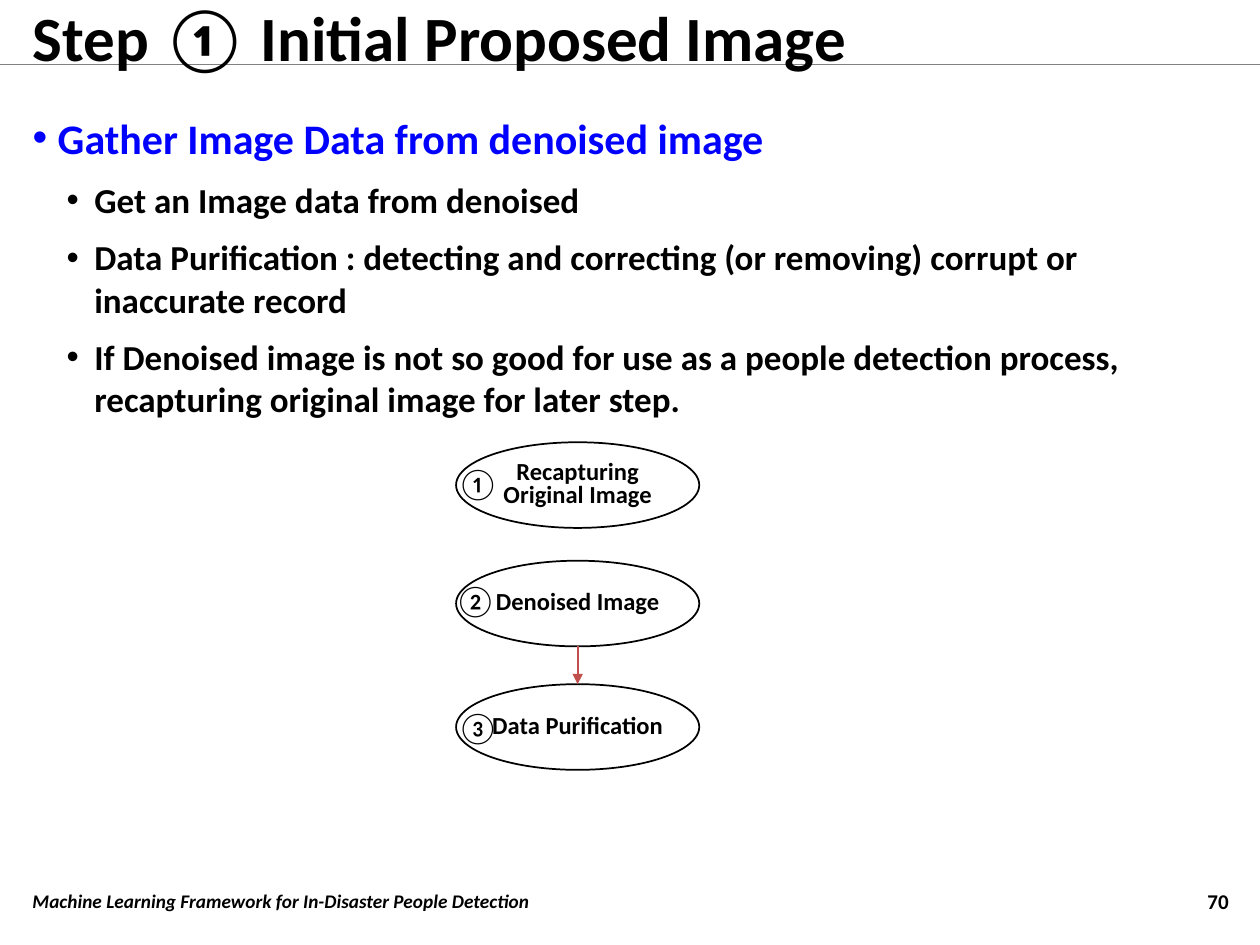
from lxml.etree import SubElement
from pptx import Presentation
from pptx.dml.color import RGBColor
from pptx.enum.shapes import MSO_CONNECTOR, MSO_SHAPE
from pptx.enum.text import MSO_ANCHOR, PP_ALIGN
from pptx.oxml.ns import qn
from pptx.util import Inches, Pt

BLACK = RGBColor(0x00, 0x00, 0x00)
WHITE = RGBColor(0xFF, 0xFF, 0xFF)
BLUE = RGBColor(0x00, 0x00, 0xFF)
GREY = RGBColor(0x80, 0x80, 0x80)
RED = RGBColor(0xC0, 0x50, 0x4D)

# Content
TITLE = "Step ① Initial Proposed Image"
FOOTER = "Machine Learning Framework for In-Disaster People Detection"
PAGE_NUMBER = "70"
HEADING = "Gather Image Data from denoised image"
POINTS = [
    "Get an Image data from denoised",
    "Data Purification : detecting and correcting (or removing) corrupt or inaccurate record",
    "If Denoised image is not so good for use as a people detection process, \v"
    "recapturing original image for later step.",
]
# Label, ellipse top, number, number left and top
STEPS = [
    ("Recapturing Original Image", 3.51, "①", 3.53, 3.63),
    ("Denoised Image", 4.45, "②", 3.51, 4.56),
    ("Data Purification", 5.43, "③", 3.53, 5.57),
]

# Layout and formats
MARGIN, TEXT_WIDTH = 0.16, 9.69
STEP_LEFT, STEP_WIDTH, STEP_HEIGHT = 3.62, 1.93, 0.68
HEADING_FORMAT = {"size": Pt(24), "bold": True, "color": BLUE}
POINT_FORMAT = {"size": Pt(20), "bold": True}
TITLE_FORMAT = {"size": Pt(36), "bold": True}
NUMBER_FORMAT = {"size": Pt(12), "bold": True}
FOOTER_FORMAT = {"size": Pt(11), "bold": True, "italic": True}
STEP_FORMAT = {"size": Pt(14), "bold": True}
BADGE_FORMAT = {"size": Pt(18)}


def write(para, text, formats):
    para.text = text
    for target in (para, *para.runs):
        target.font.name = "Calibri"
        target.font.color.rgb = formats.get("color", BLACK)
        for name, value in formats.items():
            if name != "color":
                setattr(target.font, name, value)


def add_bullet(para, indent, hanging):
    properties = para._p.get_or_add_pPr()
    properties.set("marL", str(Inches(indent)))
    properties.set("indent", str(-Inches(hanging)))
    SubElement(properties, qn("a:buFont"), typeface="Arial")
    SubElement(properties, qn("a:buChar"), char="•")


def add_text(page, place, text, formats, align=PP_ALIGN.LEFT, anchor=MSO_ANCHOR.MIDDLE, wrap=True):
    box = page.shapes.add_textbox(*map(Inches, place))
    frame = box.text_frame
    frame.word_wrap = wrap
    frame.vertical_anchor = anchor
    para = frame.paragraphs[0]
    para.alignment = align
    write(para, text, formats)


def add_line(page, start, end, color, width):
    line = page.shapes.add_connector(MSO_CONNECTOR.STRAIGHT, *map(Inches, (*start, *end)))
    line.line.color.rgb = color
    line.line.width = Pt(width)
    SubElement(line._element.spPr, qn("a:effectLst"))
    return line


def add_step(page, label, top):
    step = page.shapes.add_shape(
        MSO_SHAPE.OVAL, *map(Inches, (STEP_LEFT, top, STEP_WIDTH, STEP_HEIGHT)))
    step.shadow.inherit = False
    step.fill.solid()
    step.fill.fore_color.rgb = WHITE
    step.line.color.rgb = BLACK
    step.line.width = Pt(1)
    frame = step.text_frame
    frame.word_wrap = True
    frame.vertical_anchor = MSO_ANCHOR.MIDDLE
    for side in ("left", "top", "right", "bottom"):
        setattr(frame, f"margin_{side}", 0)
    para = frame.paragraphs[0]
    para.alignment = PP_ALIGN.CENTER
    para.line_spacing = 0.8
    write(para, label, STEP_FORMAT)


def main():
    deck = Presentation()
    deck.slide_width, deck.slide_height = Inches(10), Inches(7.5)
    page = deck.slides.add_slide(deck.slide_layouts[6])

    # Title rule
    add_line(page, (0, 0.51), (10, 0.51), GREY, 0.75)

    # Bulleted body
    body = page.shapes.add_textbox(*map(Inches, (MARGIN, 0.84, TEXT_WIDTH, 6.04))).text_frame
    body.word_wrap = True
    heading = body.paragraphs[0]
    add_bullet(heading, 0.2, 0.2)
    write(heading, HEADING, HEADING_FORMAT)
    for point in POINTS:
        para = body.add_paragraph()
        para.level = 1
        add_bullet(para, 0.49, 0.22)
        para.space_before = Pt(9)
        write(para, point, POINT_FORMAT)

    # Title and footer
    add_text(page, (MARGIN, 0.01, TEXT_WIDTH, 0.55), TITLE, TITLE_FORMAT)
    add_text(page, (9.02, 6.95, 0.83, 0.4), PAGE_NUMBER, NUMBER_FORMAT, PP_ALIGN.RIGHT)
    add_text(page, (MARGIN, 6.95, 8.86, 0.4), FOOTER, FOOTER_FORMAT)

    # Numbered steps
    for label, top, number, left, number_top in STEPS:
        add_step(page, label, top)
        add_text(page, (left, number_top, 0.45, 0.4), number, BADGE_FORMAT,
                 anchor=MSO_ANCHOR.TOP, wrap=False)

    # Arrow from the second step to the third
    center = STEP_LEFT + STEP_WIDTH / 2
    arrow = add_line(page, (center, STEPS[1][1] + STEP_HEIGHT), (center, STEPS[2][1]), RED, 1)
    SubElement(arrow.line._get_or_add_ln(), qn("a:tailEnd"), type="triangle")

    deck.save("out.pptx")


if __name__ == "__main__":
    main()
